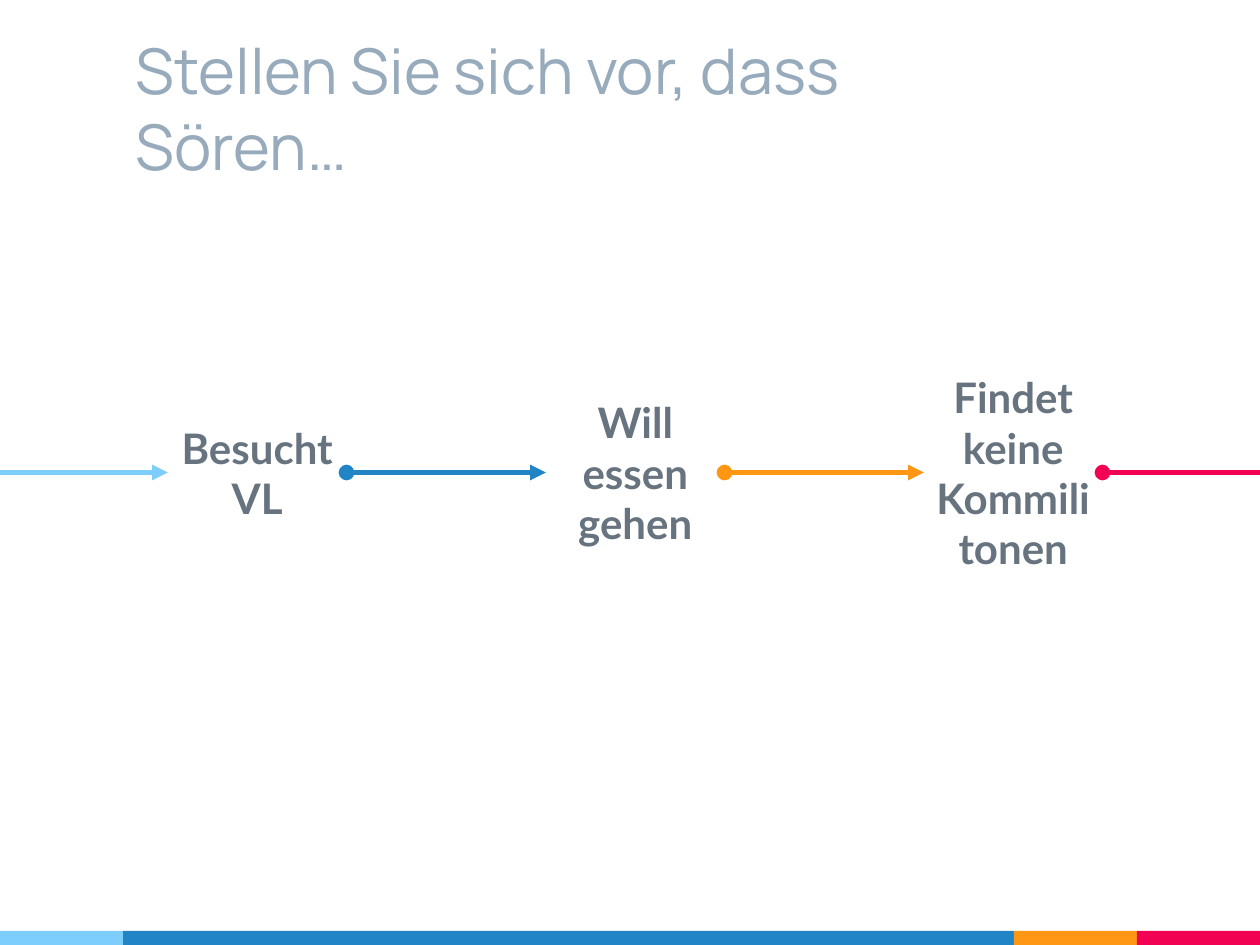
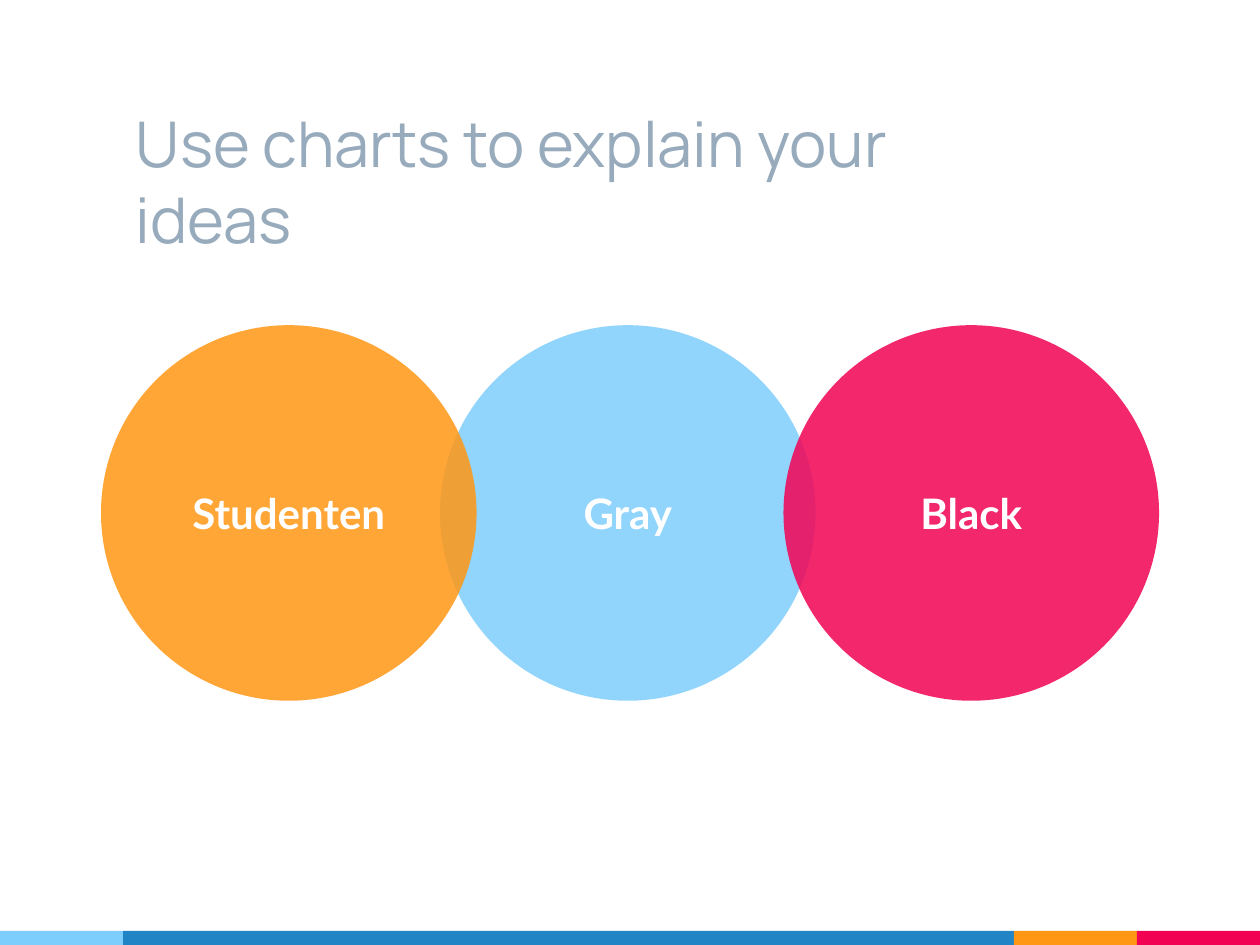
import dataclasses
import itertools

import lxml.etree
import pptx
import pptx.dml.color
import pptx.enum.shapes
import pptx.enum.text
import pptx.oxml.ns
import pptx.util

Pt = pptx.util.Pt
ShapeType = pptx.enum.shapes.MSO_SHAPE
Anchor = pptx.enum.text.MSO_ANCHOR
Align = pptx.enum.text.PP_ALIGN

COLORS = {
    "sky": "7ECEFD",
    "blue": "2185C5",
    "orange": "FF9715",
    "red": "F20253",
    "title": "97ABBC",
    "label": "677480",
    "white": "FFFFFF",
}
TITLE_FONT, LABEL_FONT = "Manrope", "Lato"
SLIDE_WIDTH, SLIDE_HEIGHT = 720, 540
BAND_HEIGHT = 8
TITLE_LEFT, TITLE_WIDTH, TITLE_HEIGHT = 70.4, 509, 90
INSET = 7.2

STEP_PITCH, STEP_LEFT, STEP_WIDTH, STEP_HEIGHT = 216, 96, 102, 50
STEP_MIDDLE = 270
CIRCLE_TOP, CIRCLE_SIZE = 185.8, 214.6


@dataclasses.dataclass
class Band:
    color: str
    width: float


@dataclasses.dataclass
class Circle:
    text: str
    color: str
    left: float


BANDS = [Band("sky", 70.4), Band("blue", 509), Band("orange", 70.3), Band("red", 70.3)]
STEPS = ["Besucht VL", "Will essen gehen", "Findet keine Kommilitonen"]
CIRCLES = [
    Circle("Gray", "sky", 251.4),
    Circle("Studenten", "orange", 57.7),
    Circle("Black", "red", 447.7),
]


def rgb(name: str) -> pptx.dml.color.RGBColor:
    return pptx.dml.color.RGBColor.from_string(COLORS[name])


def write(box, text: str, font: str, size: float, color: str, bold: bool, align, anchor) -> None:
    frame = box.text_frame
    frame.text = text
    frame.word_wrap = True
    frame.auto_size = pptx.enum.text.MSO_AUTO_SIZE.NONE
    frame.vertical_anchor = anchor
    frame.margin_left = frame.margin_right = Pt(INSET)
    frame.margin_top = frame.margin_bottom = Pt(INSET)
    para = frame.paragraphs[0]
    para.alignment = align
    para.font.name = font
    para.font.size = Pt(size)
    para.font.bold = bold
    para.font.color.rgb = rgb(color)


def write_label(box, text: str, color: str) -> None:
    write(box, text, LABEL_FONT, 24, color, True, Align.CENTER, Anchor.MIDDLE)


def add_filled(page, kind, left: float, top: float, width: float, height: float, color: str):
    shape = page.shapes.add_shape(kind, Pt(left), Pt(top), Pt(width), Pt(height))
    shape.shadow.inherit = False
    shape.fill.solid()
    shape.fill.fore_color.rgb = rgb(color)
    shape.line.fill.background()
    return shape


def add_page(deck, title: str, title_top: float):
    page = deck.slides.add_slide(deck.slide_layouts.get_by_name("Title Only"))
    left = 0
    for band in BANDS:
        add_filled(page, ShapeType.RECTANGLE, left, SLIDE_HEIGHT - BAND_HEIGHT,
                   band.width, BAND_HEIGHT, band.color)
        left += band.width
    heading = page.shapes.title
    heading.left, heading.top = Pt(TITLE_LEFT), Pt(title_top)
    heading.width, heading.height = Pt(TITLE_WIDTH), Pt(TITLE_HEIGHT)
    write(heading, title, TITLE_FONT, 36, "title", False, Align.LEFT, Anchor.BOTTOM)
    return page


def add_arrow(page, start: float, end: float, color: str):
    arrow = page.shapes.add_connector(
        pptx.enum.shapes.MSO_CONNECTOR.STRAIGHT,
        Pt(start), Pt(STEP_MIDDLE), Pt(end), Pt(STEP_MIDDLE))
    arrow.line.color.rgb = rgb(color)
    arrow.line.width = Pt(3)
    line = arrow.line._get_or_add_ln()
    for tag, kind in (("a:headEnd", "oval"), ("a:tailEnd", "triangle")):
        lxml.etree.SubElement(line, pptx.oxml.ns.qn(tag), type=kind)
    lxml.etree.SubElement(arrow._element.spPr, pptx.oxml.ns.qn("a:effectLst"))
    return arrow


def set_opacity(shape, percent: int) -> None:
    color = shape._element.spPr.find(".//" + pptx.oxml.ns.qn("a:srgbClr"))
    lxml.etree.SubElement(color, pptx.oxml.ns.qn("a:alpha"), val=str(percent * 1000))


def build_process(deck) -> None:
    page = add_page(deck, "Stellen Sie sich vor, dass Sören…", 21.6)
    boxes = []
    for index, text in enumerate(STEPS):
        box = page.shapes.add_textbox(
            Pt(STEP_LEFT + index * STEP_PITCH), Pt(STEP_MIDDLE - STEP_HEIGHT / 2),
            Pt(STEP_WIDTH), Pt(STEP_HEIGHT))
        write_label(box, text, "label")
        boxes.append(box)
    neighbours = itertools.pairwise([None, *boxes, None])
    for index, (band, (before, after)) in enumerate(zip(BANDS, neighbours)):
        end = STEP_LEFT + index * STEP_PITCH
        arrow = add_arrow(page, end - STEP_PITCH + STEP_WIDTH, end, band.color)
        if before is not None:
            arrow.begin_connect(before, 3)
        if after is not None:
            arrow.end_connect(after, 1)


def build_circles(deck) -> None:
    page = add_page(deck, "Use charts to explain your ideas", 63.4)
    for circle in CIRCLES:
        shape = add_filled(page, ShapeType.OVAL, circle.left, CIRCLE_TOP,
                           CIRCLE_SIZE, CIRCLE_SIZE, circle.color)
        set_opacity(shape, 85)
        write_label(shape, circle.text, "white")


def main() -> None:
    deck = pptx.Presentation()
    deck.slide_width, deck.slide_height = Pt(SLIDE_WIDTH), Pt(SLIDE_HEIGHT)
    build_process(deck)
    build_circles(deck)
    deck.save("out.pptx")


if __name__ == "__main__":
    main()
